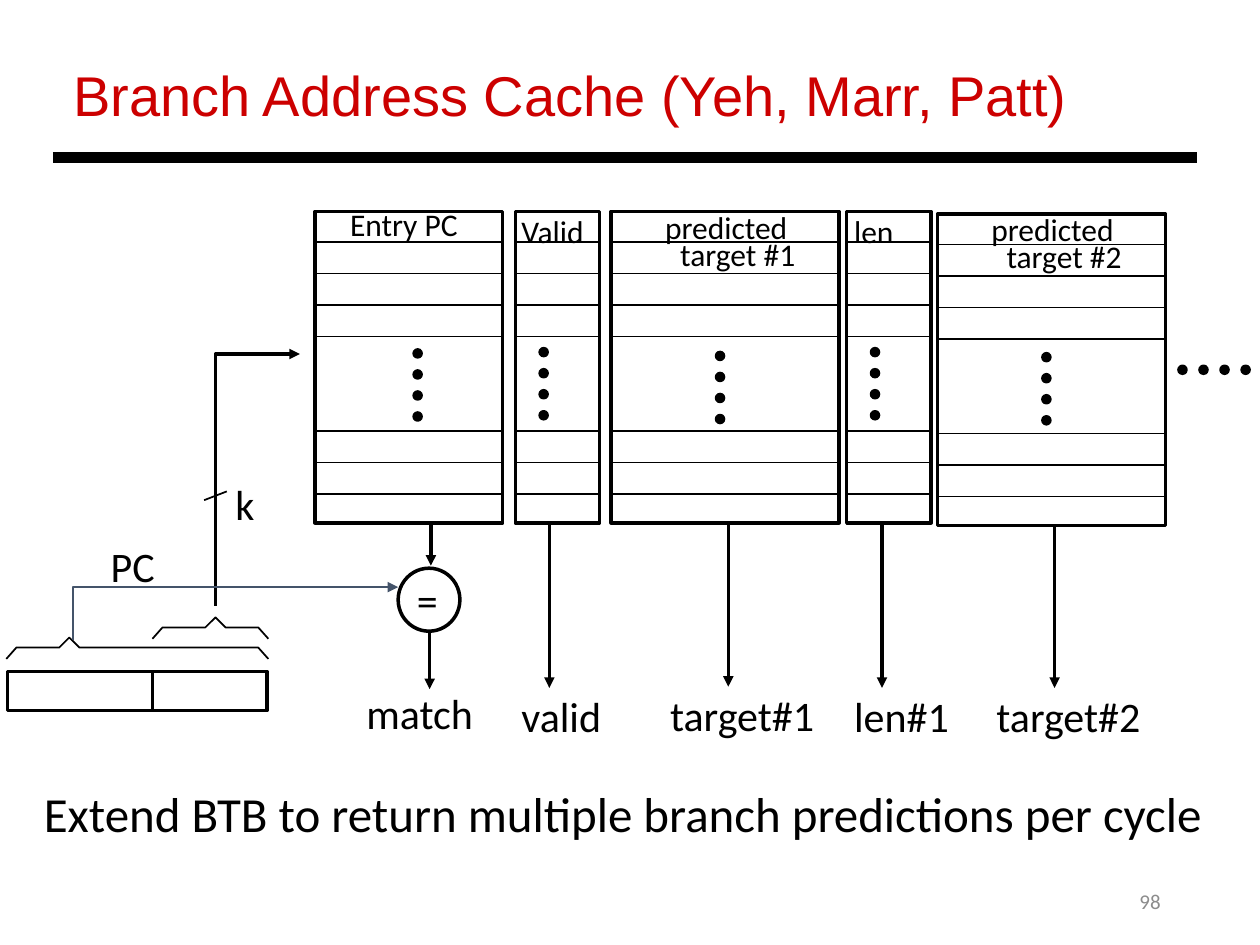
from dataclasses import dataclass

from lxml import etree
from pptx import Presentation
from pptx import util as u
from pptx.dml.color import RGBColor
from pptx.enum import shapes as kinds, text
from pptx.oxml.ns import qn

COLUMNS, ROWS = 10, 7.5
CELL = u.Inches(1)
TABLE_HEIGHT = 2.47
ROW_HEIGHT = 0.25
RULED_ROWS = (0, 1, 2, 3, 6, 7, 8)
DOT, DOT_STEP = 0.07, 0.167


@dataclass(frozen=True)
class Theme:
    black: str = "000000"
    white: str = "FFFFFF"
    title: str = "CC0000"
    tag_path: str = "44546A"
    page: str = "8C8C8C"
    heading_font: str = "Arial"
    body_font: str = "Calibri"
    title_size: int = 32
    summary_size: int = 28
    label_size: int = 24
    header_size: int = 18
    page_size: int = 12
    bar: float = 6
    thick: float = 2
    medium: float = 1.5
    thin: float = 1


THEME = Theme()


@dataclass(frozen=True)
class Field:
    """One field of the cache; headers and output are (text, left, top, width)."""
    left: float
    width: float
    top: float
    headers: tuple
    dots: tuple
    arrow: tuple
    output: tuple


FIELDS = (
    Field(2.5, 1.49, 1.68, (("Entry PC", 2.68, 1.58, 1.07),),
          (3.28, 2.77), (3.42, 4.15, 4.49), ("match", 2.81, 5.41, 1.06)),
    Field(4.09, 0.67, 1.68, (("Valid", 4.04, 1.63, 0.71),),
          (4.28, 2.76), (4.36, 4.17, 5.46), ("valid", 4.04, 5.43, 0.84)),
    Field(4.85, 1.81, 1.68,
          (("predicted", 5.18, 1.6, 1.19), ("target #1", 5.3, 1.82, 1.13)),
          (5.68, 2.79), (5.78, 4.17, 5.45), ("target#1", 5.22, 5.42, 1.37)),
    Field(6.72, 0.67, 1.68, (("len", 6.68, 1.63, 0.52),),
          (6.91, 2.76), (7, 4.17, 5.46), ("len#1", 6.68, 5.43, 0.96)),
    Field(7.44, 1.81, 1.7,
          (("predicted", 7.77, 1.62, 1.19), ("target #2", 7.89, 1.83, 1.13)),
          (8.27, 2.8), (8.37, 4.18, 5.46), ("target#2", 7.81, 5.43, 1.37)),
)


def grid(*cells):
    return [round(cell * CELL) for cell in cells]


def color(value):
    return RGBColor.from_string(value)


def style_line(shape, width, line_color=THEME.black, arrow=False):
    shape.line.color.rgb = color(line_color)
    shape.line.width = u.Pt(width)
    if arrow:
        line = shape.line._get_or_add_ln()
        etree.SubElement(line, qn("a:tailEnd"), type="triangle")


def write(frame, words, size, font=THEME.body_font, font_color=THEME.black,
          align=text.PP_ALIGN.LEFT):
    paragraph = frame.paragraphs[0]
    paragraph.alignment = align
    run = paragraph.add_run()
    run.text = words
    run.font.size = u.Pt(size)
    run.font.name = font
    run.font.color.rgb = color(font_color)


def add_label(shapes, words, left, top, width, size=THEME.label_size, height=0.5,
              wrap=False, **style):
    frame = shapes.add_textbox(*grid(left, top, width, height)).text_frame
    frame.word_wrap = wrap
    frame.auto_size = text.MSO_AUTO_SIZE.SHAPE_TO_FIT_TEXT
    write(frame, words, size, **style)


def add_line(shapes, start, end, width=THEME.thin, arrow=False):
    line = shapes.add_connector(kinds.MSO_CONNECTOR.STRAIGHT, *grid(*start, *end))
    style_line(line, width, arrow=arrow)
    etree.SubElement(line._element.spPr, qn("a:effectLst"))


def add_path(shapes, points, width=THEME.thin, line_color=THEME.black, arrow=False):
    corners = [grid(*point) for point in points]
    builder = shapes.build_freeform(*corners[0])
    builder.add_line_segments(corners[1:], close=False)
    path = builder.convert_to_shape()
    path.fill.background()
    path.shadow.inherit = False
    style_line(path, width, line_color, arrow)


def add_solid(shapes, kind, left, top, width, height, fill=THEME.white,
              line=THEME.thick):
    shape = shapes.add_shape(kind, *grid(left, top, width, height))
    shape.shadow.inherit = False
    shape.fill.solid()
    shape.fill.fore_color.rgb = color(fill)
    style_line(shape, line)


def add_dots(shapes, left, top, step_x=0.0, step_y=0.0):
    for index in range(4):
        add_solid(shapes, kinds.MSO_SHAPE.OVAL, left + index * step_x,
                  top + index * step_y, DOT, DOT, THEME.black, THEME.thin)


def add_brace(shapes, left, right, peak, top):
    """Draw a flat brace that opens downwards."""
    bend = 0.08
    shoulder, foot = top + bend, top + 2 * bend + 0.01
    add_path(shapes, [(left, foot), (left + bend, shoulder),
                      (peak - bend, shoulder), (peak, top), (peak + bend, shoulder),
                      (right - bend, shoulder), (right, foot)])


def add_field(slide, field):
    shapes = slide.shapes.add_group_shape().shapes
    add_solid(shapes, kinds.MSO_SHAPE.RECTANGLE, field.left, field.top,
              field.width, TABLE_HEIGHT)
    for row in RULED_ROWS:
        height = field.top + 0.24 + row * ROW_HEIGHT
        add_line(shapes, (field.left, height), (field.left + field.width, height))
    for header in field.headers:
        add_label(shapes, *header, size=THEME.header_size, height=0.4)
    add_dots(shapes, *field.dots, step_y=DOT_STEP)
    x, start, end = field.arrow
    add_line(shapes, (x, start), (x, end), THEME.thick, arrow=True)
    add_label(shapes, *field.output)


def add_title(slide):
    title = slide.shapes.title
    title.left, title.top, title.width, title.height = grid(0.48, 0.43, 8.78, 0.64)
    title.text_frame.vertical_anchor = text.MSO_ANCHOR.TOP
    title.text_frame.word_wrap = True
    write(title.text_frame, "Branch Address Cache (Yeh, Marr, Patt)",
          THEME.title_size, THEME.heading_font, THEME.title)
    add_line(slide.shapes, (0.42, 1.25), (9.5, 1.25), THEME.bar)


def add_program_counter(shapes):
    add_solid(shapes, kinds.MSO_SHAPE.RECTANGLE, 0.06, 5.33, 2.06, 0.31)
    add_line(shapes, (1.21, 5.33), (1.21, 5.63), THEME.thick)
    add_brace(shapes, 1.21, 2.13, 1.71, 4.9)
    add_brace(shapes, 0.05, 2.13, 0.55, 5.06)
    add_label(shapes, "PC", 0.78, 4.24, 0.55)
    add_path(shapes, [(1.71, 4.81), (1.71, 2.81), (2.38, 2.81)],
             THEME.thick, arrow=True)
    add_line(shapes, (1.8, 3.9), (1.62, 3.97))
    add_label(shapes, "k", 1.77, 3.75, 0.3)


def add_comparator(shapes):
    add_solid(shapes, kinds.MSO_SHAPE.OVAL, 3.16, 4.51, 0.49, 0.5)
    add_label(shapes, "=", 3.21, 4.51, 0.37)
    add_line(shapes, (3.41, 5.02), (3.41, 5.47), THEME.thick, arrow=True)
    add_path(shapes, [(0.58, 5.08), (0.58, 4.66), (3.16, 4.66)],
             THEME.medium, THEME.tag_path, arrow=True)


def main():
    presentation = Presentation()
    presentation.slide_width, presentation.slide_height = grid(COLUMNS, ROWS)
    slide = presentation.slides.add_slide(
        presentation.slide_layouts.get_by_name("Title Only"))
    add_title(slide)
    add_program_counter(slide.shapes)
    for field in FIELDS:
        add_field(slide, field)
    add_comparator(slide.shapes)
    add_dots(slide.shapes, 9.35, 2.9, step_x=DOT_STEP)
    add_label(slide.shapes, "Extend BTB to return multiple branch predictions per cycle",
              0.25, 6.17, 9.53, THEME.summary_size, 0.57, wrap=True)
    add_label(slide.shapes, "98", 7.06, 7, 2.25, THEME.page_size, 0.3, wrap=True,
              font_color=THEME.page, align=text.PP_ALIGN.RIGHT)
    presentation.save("out.pptx")


if __name__ == "__main__":
    main()
